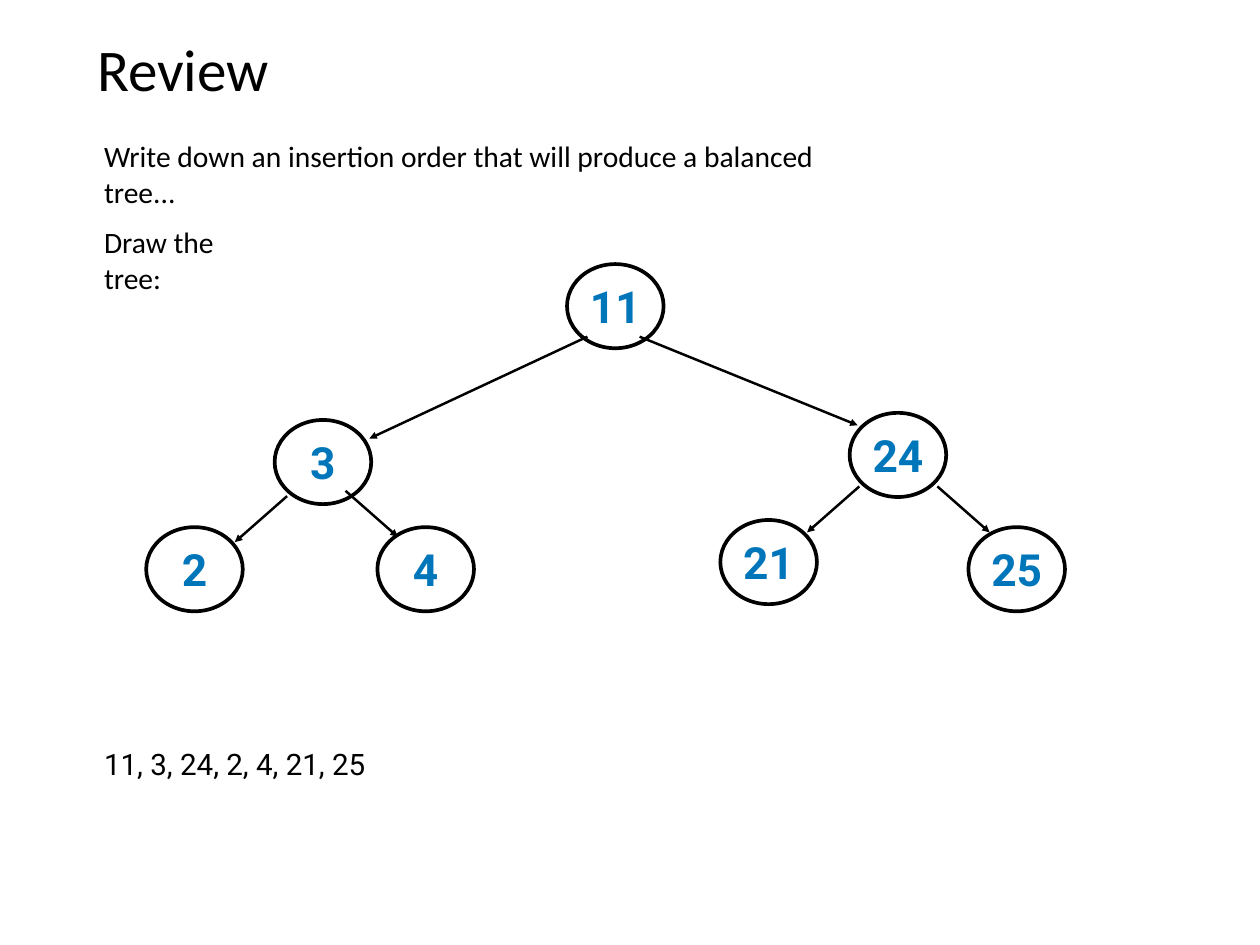
from dataclasses import dataclass

from lxml.etree import SubElement
from pptx import Presentation
from pptx.dml.color import RGBColor
from pptx.enum.shapes import MSO_CONNECTOR, MSO_SHAPE
from pptx.enum.text import MSO_ANCHOR, PP_ALIGN
from pptx.oxml.ns import qn
from pptx.util import Pt

TITLE = "Review"
TITLE_BOX = (75, 20, 874, 71)
# text, top, width, font
NOTES = [
    ("Write down an insertion order that will produce a balanced tree...", 123, 633.6, "Calibri"),
    ("Draw the tree:", 193, 144, "Calibri"),
    ("11, 3, 24, 2, 4, 21, 25", 602.6, 236, "Roboto"),
]
# key: left, top
NODES = {
    11: (460.8, 214.6),
    3: (223.2, 341.3),
    24: (690.5, 335.5),
    2: (118.8, 428.4),
    4: (306.7, 428.4),
    21: (585.4, 422.6),
    25: (787, 428.4),
}
# start x, start y, run, rise of each arrow from parent to child
EDGES = [
    (477.4, 273.6, -177.2, 82.8),
    (519.8, 273.6, 177.2, 72),
    (233.3, 403.2, -42.5, 37.4),
    (280.8, 398.9, 42.5, 37.4),
    (698.4, 395.3, -42.5, 37.4),
    (761.8, 395.3, 42.5, 37.4),
]
NOTE_LEFT, NOTE_HIGH = 80.6, 36
NODE_WIDE, NODE_HIGH = 78.5, 68.4
INSET = 4


@dataclass(frozen=True)
class Theme:
    ink: RGBColor = RGBColor(0, 0, 0)
    key: RGBColor = RGBColor(0x00, 0x76, 0xBA)
    title: int = 48
    note: int = 24
    node: int = 36
    ring: int = 3
    edge: int = 2


THEME = Theme()


def write(shape, text, face, size, color, bold=False, align=PP_ALIGN.LEFT):
    frame = shape.text_frame
    frame.text = text
    frame.word_wrap = True
    frame.vertical_anchor = MSO_ANCHOR.MIDDLE
    frame.margin_left = frame.margin_right = Pt(INSET)
    frame.margin_top = frame.margin_bottom = Pt(INSET)
    line = frame.paragraphs[0]
    line.alignment = align
    font = line.runs[0].font
    font.name, font.size, font.bold = face, Pt(size), bold
    font.color.rgb = color


def add_node(shapes, key, left, top):
    node = shapes.add_shape(
        MSO_SHAPE.OVAL, Pt(left), Pt(top), Pt(NODE_WIDE), Pt(NODE_HIGH))
    node.shadow.inherit = False
    node.fill.background()
    node.line.color.rgb = THEME.ink
    node.line.width = Pt(THEME.ring)
    write(node, str(key), "Roboto", THEME.node, THEME.key, True, PP_ALIGN.CENTER)


def add_edge(shapes, x, y, run, rise):
    edge = shapes.add_connector(
        MSO_CONNECTOR.STRAIGHT, Pt(x), Pt(y), Pt(x + run), Pt(y + rise))
    edge.line.color.rgb = THEME.ink
    edge.line.width = Pt(THEME.edge)
    SubElement(edge.line._get_or_add_ln(), qn("a:tailEnd"), type="triangle")
    SubElement(edge._element.spPr, qn("a:effectLst"))


def main():
    deck = Presentation()
    deck.slide_width, deck.slide_height = Pt(1024), Pt(768)
    shapes = deck.slides.add_slide(deck.slide_layouts[5]).shapes

    title = shapes.title
    title.left, title.top, title.width, title.height = map(Pt, TITLE_BOX)
    write(title, TITLE, "Calibri", THEME.title, THEME.ink)

    for text, top, width, face in NOTES:
        note = shapes.add_textbox(Pt(NOTE_LEFT), Pt(top), Pt(width), Pt(NOTE_HIGH))
        write(note, text, face, THEME.note, THEME.ink)
    for key, (left, top) in NODES.items():
        add_node(shapes, key, left, top)
    for edge in EDGES:
        add_edge(shapes, *edge)

    deck.save("out.pptx")


if __name__ == "__main__":
    main()
